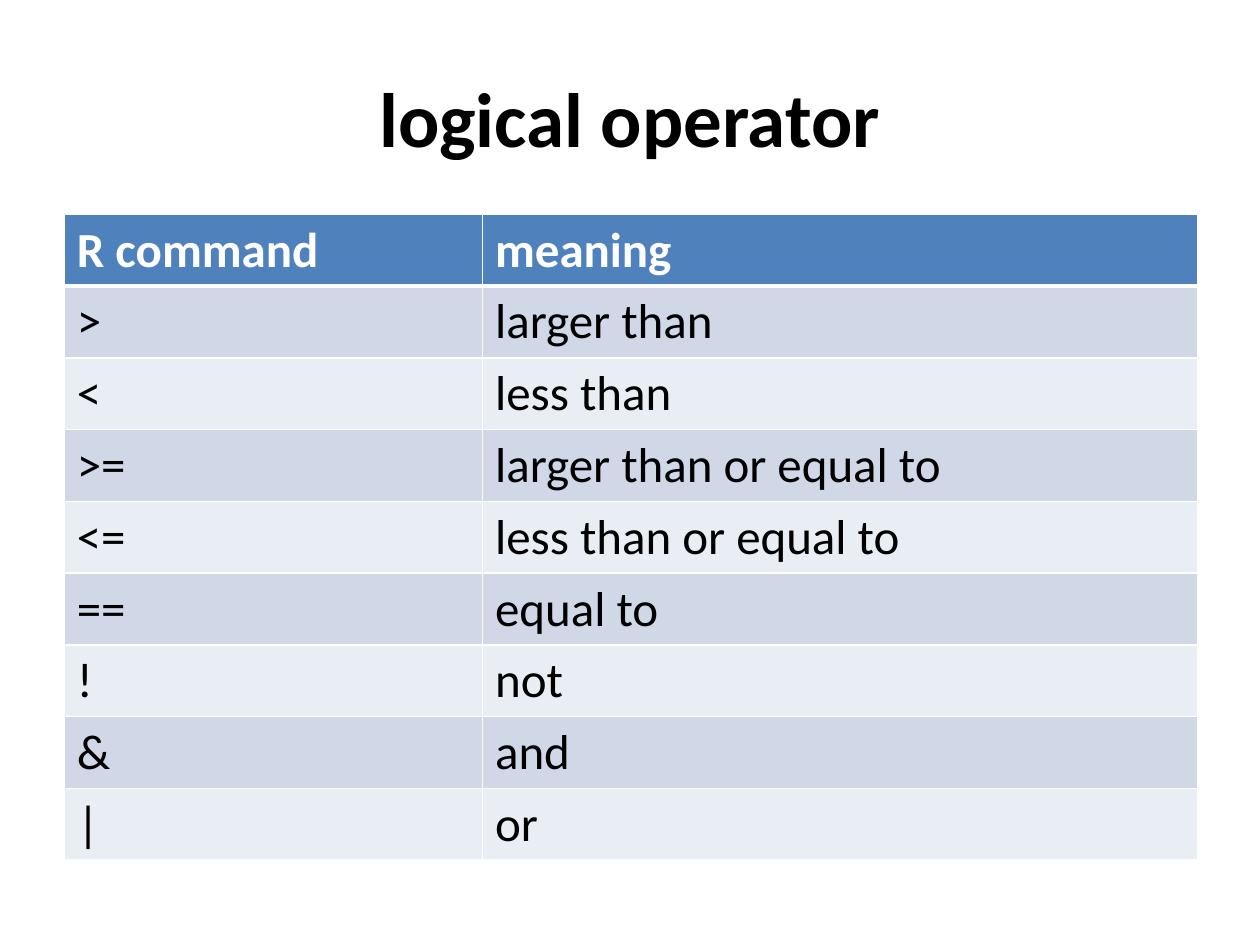
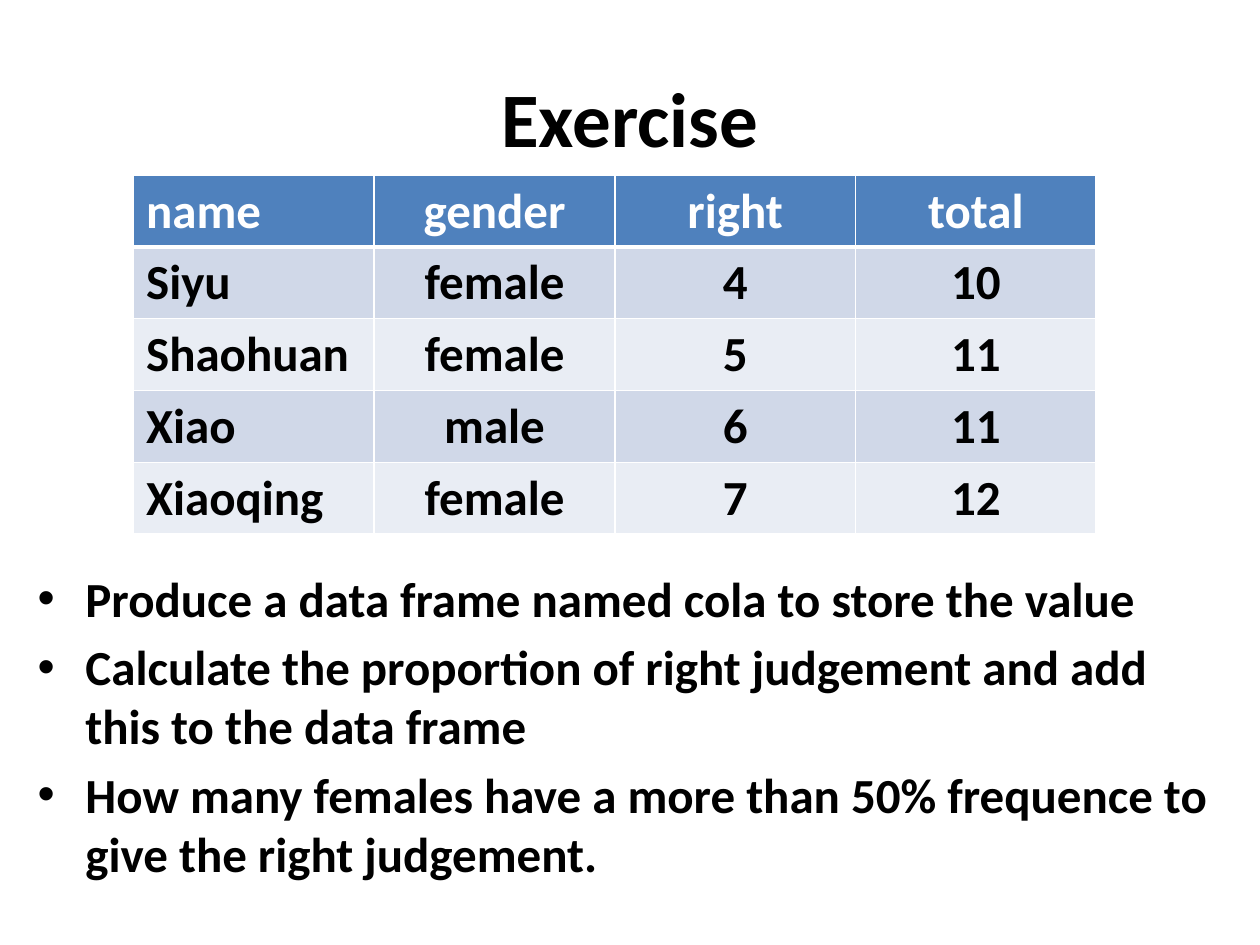
from dataclasses import dataclass

from lxml import etree
from pptx import Presentation
from pptx.dml.color import RGBColor
from pptx.enum.text import MSO_ANCHOR, PP_ALIGN
from pptx.oxml.ns import qn
from pptx.slide import Slide
from pptx.table import _Cell
from pptx.text.text import TextFrame, _Paragraph
from pptx.util import Inches, Pt

LEFT, CENTER = PP_ALIGN.LEFT, PP_ALIGN.CENTER
MIDDLE = MSO_ANCHOR.MIDDLE

SLIDE_WIDTH, SLIDE_HEIGHT = 10, 7.5
FONT = "Calibri"
TITLE_SIZE, BODY_SIZE = 44, 28
BLACK, WHITE = "000000", "FFFFFF"
HEADER_FILL = "4F81BD"
BAND_FILLS = ("D0D8E8", "E9EDF4")
THIN_RULE, HEADER_RULE = 1, 3
ROW_HEIGHT = 0.57
BULLET_INDENT = 0.38


@dataclass(frozen=True)
class Box:
    left: float
    top: float
    width: float
    height: float


@dataclass(frozen=True)
class Grid:
    """A banded table; the first row is its header."""
    left: float
    top: float
    column_widths: tuple[float, ...]
    alignments: tuple[PP_ALIGN, ...]
    bold_body: bool
    rows: tuple[tuple[str, ...], ...]


TITLE_BOX = Box(0.05 * SLIDE_WIDTH, 0.04 * SLIDE_HEIGHT,
                0.9 * SLIDE_WIDTH, SLIDE_HEIGHT / 6)
TASK_BOX = Box(0.2, 4.46, 9.65, 2.44)

OPERATORS = Grid(0.51, 1.7, (3.32, 5.68), (LEFT, LEFT), False, (
    ("R command", "meaning"),
    (">", "larger than"),
    ("<", "less than"),
    (">=", "larger than or equal to"),
    ("<=", "less than or equal to"),
    ("==", "equal to"),
    ("!", "not"),
    ("&", "and"),
    ("|", "or"),
))

JUDGEMENTS = Grid(1.06, 1.39, (1.91,) * 4, (LEFT,) + (CENTER,) * 3, True, (
    ("name", "gender", "right", "total"),
    ("Siyu", "female", "4", "10"),
    ("Shaohuan", "female", "5", "11"),
    ("Xiao", "male", "6", "11"),
    ("Xiaoqing", "female", "7", "12"),
))

TASKS = (
    "Produce a data frame named cola to store the value",
    "Calculate the proportion of right judgement and add this to the data frame",
    "How many females have a more than 50% frequence to give the right judgement.",
)


def color(value: str) -> RGBColor:
    return RGBColor.from_string(value)


def style_paragraph(paragraph: _Paragraph, size: float, fill: str,
                    bold: bool, alignment: PP_ALIGN) -> None:
    paragraph.alignment = alignment
    for run in paragraph.runs:
        run.font.name = FONT
        run.font.size = Pt(size)
        run.font.bold = bold
        run.font.color.rgb = color(fill)


def add_text_frame(slide: Slide, box: Box) -> TextFrame:
    frame = slide.shapes.add_textbox(
        Inches(box.left), Inches(box.top),
        Inches(box.width), Inches(box.height)).text_frame
    frame.word_wrap = True
    return frame


def add_title(slide: Slide, title: str) -> None:
    frame = add_text_frame(slide, TITLE_BOX)
    frame.vertical_anchor = MIDDLE
    frame.text = title
    style_paragraph(frame.paragraphs[0], TITLE_SIZE, BLACK, True, CENTER)


def add_bullets(slide: Slide, box: Box, items: tuple[str, ...]) -> None:
    frame = add_text_frame(slide, box)
    frame.text = "\n".join(items)
    for paragraph in frame.paragraphs:
        style_paragraph(paragraph, BODY_SIZE, BLACK, True, LEFT)
        paragraph.space_before = Pt(0.2 * BODY_SIZE)
        properties = paragraph._p.get_or_add_pPr()
        properties.set("marL", str(Inches(BULLET_INDENT)))
        properties.set("indent", str(-Inches(BULLET_INDENT)))
        etree.SubElement(properties, qn("a:buFont"), typeface="Arial")
        etree.SubElement(properties, qn("a:buChar"), char="•")


def set_borders(cell: _Cell, top: float, bottom: float) -> None:
    """Draw white rules; the border elements must come before the cell fill."""
    properties = cell._tc.get_or_add_tcPr()
    widths = {"lnL": THIN_RULE, "lnR": THIN_RULE, "lnT": top, "lnB": bottom}
    for position, (side, width) in enumerate(widths.items()):
        line = etree.Element(qn(f"a:{side}"), w=str(Pt(width)))
        fill = etree.SubElement(line, qn("a:solidFill"))
        etree.SubElement(fill, qn("a:srgbClr"), val=WHITE)
        properties.insert(position, line)


def add_grid(slide: Slide, grid: Grid) -> None:
    table = slide.shapes.add_table(
        len(grid.rows), len(grid.column_widths),
        Inches(grid.left), Inches(grid.top),
        Inches(sum(grid.column_widths)),
        Inches(ROW_HEIGHT * len(grid.rows))).table
    for column, width in zip(table.columns, grid.column_widths):
        column.width = Inches(width)
    for row_number, texts in enumerate(grid.rows):
        is_header = row_number == 0
        fill = HEADER_FILL if is_header else BAND_FILLS[(row_number - 1) % 2]
        top = HEADER_RULE if row_number == 1 else THIN_RULE
        bottom = HEADER_RULE if is_header else THIN_RULE
        table.rows[row_number].height = Inches(ROW_HEIGHT)
        for column_number, text in enumerate(texts):
            cell = table.cell(row_number, column_number)
            cell.text = text
            cell.fill.solid()
            cell.fill.fore_color.rgb = color(fill)
            style_paragraph(cell.text_frame.paragraphs[0], BODY_SIZE,
                            WHITE if is_header else BLACK,
                            is_header or grid.bold_body,
                            grid.alignments[column_number])
            set_borders(cell, top, bottom)


def main() -> None:
    deck = Presentation()
    deck.slide_width = Inches(SLIDE_WIDTH)
    deck.slide_height = Inches(SLIDE_HEIGHT)
    blank = deck.slide_layouts[6]

    operator_slide = deck.slides.add_slide(blank)
    add_title(operator_slide, "logical operator")
    add_grid(operator_slide, OPERATORS)

    exercise_slide = deck.slides.add_slide(blank)
    add_title(exercise_slide, "Exercise")
    add_bullets(exercise_slide, TASK_BOX, TASKS)
    add_grid(exercise_slide, JUDGEMENTS)

    deck.save("out.pptx")


if __name__ == "__main__":
    main()
